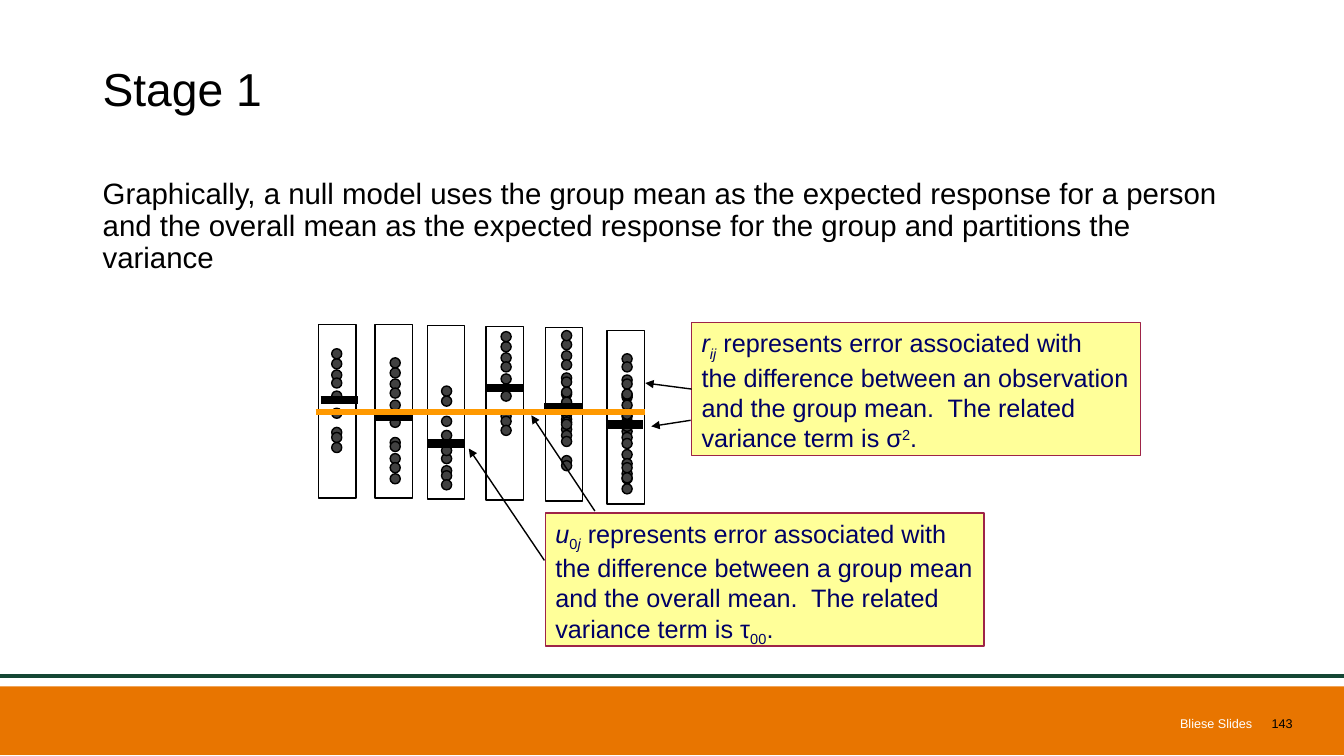
import dataclasses

import pptx
import pptx.dml.color
import pptx.enum.shapes
import pptx.enum.text
import pptx.oxml
import pptx.oxml.ns
import pptx.util

Inches = pptx.util.Inches
Pt = pptx.util.Pt
Shapes = pptx.enum.shapes.MSO_SHAPE
Anchor = pptx.enum.text.MSO_ANCHOR
Align = pptx.enum.text.PP_ALIGN


@dataclasses.dataclass(frozen=True)
class Theme:
    """Hold the colours, font and type sizes of the slide."""
    font: str = "Arial"
    black: str = "000000"
    white: str = "FFFFFF"
    orange: str = "E87500"
    green: str = "154734"
    dot: str = "414141"
    overall_mean: str = "FF9900"
    callout: str = "FFFF99"
    callout_edge: str = "9E2447"
    callout_text: str = "000066"
    title_size: float = 33
    body_size: float = 21
    callout_size: float = 18
    footer_size: float = 9


@dataclasses.dataclass(frozen=True)
class Group:
    """Describe one group of observations and its mean."""
    left: float
    top: float
    dot_left: float
    bar_left: float
    mean: float
    dots: tuple


THEME = Theme()
GROUP_WIDTH, GROUP_HEIGHT, DOT_SIZE = 0.37, 1.72, 0.1
GROUPS = (
    Group(3.16, 3.22, 3.29, 3.18, 3.97,
          (3.88, 4.05, 4.24, 3.67, 3.75, 3.56, 4.29, 4.39, 3.46)),
    Group(3.72, 3.22, 3.87, 3.73, 4.14,
          (3.97, 4.14, 4.34, 3.76, 3.85, 3.65, 4.38, 3.55, 4.5, 4.59, 4.7)),
    Group(4.24, 3.23, 4.38, 4.24, 4.4,
          (4.5, 4.42, 4.62, 4.27, 4.13, 3.93, 4.67, 4.76, 3.83)),
    Group(4.82, 3.24, 4.97, 4.82, 3.85,
          (3.71, 3.88, 4.08, 3.5, 3.59, 3.39, 4.13, 4.22, 3.29)),
    Group(5.41, 3.25, 5.57, 5.4, 4.04,
          (3.7, 3.86, 4.06, 3.48, 3.57, 3.37, 4.11, 4.21, 3.28, 4.27,
           4.05, 4.14, 4.16, 4.33, 4.52, 3.94, 4.03, 3.84, 4.57, 3.74)),
    Group(6.02, 3.28, 6.17, 6.01, 4.21,
          (3.72, 3.89, 3.51, 3.59, 4.13, 4.23, 4.29, 4.46, 4.65, 4.08, 4.16,
           4.7, 4.8, 3.87, 4.18, 4.35, 4.55, 3.97, 4.06, 3.86, 4.59, 4.69, 3.76)),
)
OBSERVATION_ERROR = (
    (("r", True, 0), ("ij", True, -25), (" represents error associated with", False, 0)),
    (("the difference between an observation", False, 0),),
    (("and the group mean.  The related", False, 0),),
    (("variance term is σ", False, 0), ("2", False, 30), (".", False, 0)),
)
GROUP_ERROR = (
    (("u", True, 0), ("0", False, -25), ("j", True, -25),
     (" represents error associated with", False, 0)),
    (("the difference between a group mean", False, 0),),
    (("and the overall mean.  The related", False, 0),),
    (("variance term is τ", False, 0), ("00", False, -25), (".", False, 0)),
)


def color(value):
    """Turn a hexadecimal string into a colour."""
    return pptx.dml.color.RGBColor.from_string(value)


def style_font(font, size, value):
    """Set the typeface, size and colour of a font."""
    font.name = THEME.font
    font.size = Pt(size)
    font.color.rgb = color(value)


def add_block(page, kind, left, top, width, height, fill, edge=None):
    """Add a flat filled shape, with a thin outline if an edge is given."""
    shape = page.shapes.add_shape(
        kind, Inches(left), Inches(top), Inches(width), Inches(height))
    shape.shadow.inherit = False
    shape.fill.solid()
    shape.fill.fore_color.rgb = color(fill)
    if edge:
        shape.line.color.rgb = color(edge)
        shape.line.width = Pt(1)
    else:
        shape.line.fill.background()
    return shape


def add_line(page, start, end, value, width, arrow=False):
    """Add a straight line, with an arrowhead at its end on request."""
    line = page.shapes.add_connector(
        pptx.enum.shapes.MSO_CONNECTOR.STRAIGHT, *map(Inches, start + end))
    line.line.color.rgb = color(value)
    line.line.width = Pt(width)
    if arrow:
        head = pptx.oxml.parse_xml(
            f'<a:tailEnd {pptx.oxml.ns.nsdecls("a")} type="triangle"/>')
        line.line._get_or_add_ln().append(head)
    line._element.spPr.append(
        pptx.oxml.parse_xml(f'<a:effectLst {pptx.oxml.ns.nsdecls("a")}/>'))
    return line


def add_text(page, text, left, top, width, height, size, value,
             anchor=Anchor.MIDDLE, align=Align.LEFT, spacing=None, right_inset=0.1):
    """Add a wrapping text box with one paragraph."""
    box = page.shapes.add_textbox(
        Inches(left), Inches(top), Inches(width), Inches(height))
    frame = box.text_frame
    frame.word_wrap = True
    frame.vertical_anchor = anchor
    frame.margin_right = Inches(right_inset)
    para = frame.paragraphs[0]
    para.text = text
    para.alignment = align
    para.line_spacing = spacing
    style_font(para.font, size, value)


def add_group(page, group):
    """Add a group frame with its observations and mean bar."""
    add_block(page, Shapes.RECTANGLE, group.left, group.top,
              GROUP_WIDTH, GROUP_HEIGHT, THEME.white, THEME.black)
    for top in group.dots:
        add_block(page, Shapes.OVAL, group.dot_left, top,
                  DOT_SIZE, DOT_SIZE, THEME.dot, THEME.black)
    add_line(page, (group.bar_left, group.mean),
             (group.bar_left + GROUP_WIDTH, group.mean), THEME.black, 6)


def add_callout(page, lines, left, top, width, height):
    """Add a yellow note with italic, subscript and superscript spans."""
    box = add_block(page, Shapes.RECTANGLE, left, top, width, height,
                    THEME.callout, THEME.callout_edge)
    frame = box.text_frame
    frame.word_wrap = False
    frame.auto_size = pptx.enum.text.MSO_AUTO_SIZE.SHAPE_TO_FIT_TEXT
    frame.vertical_anchor = Anchor.TOP
    for index, line in enumerate(lines):
        para = frame.add_paragraph() if index else frame.paragraphs[0]
        para.alignment = Align.LEFT
        style_font(para.font, THEME.callout_size, THEME.callout_text)
        for text, italic, baseline in line:
            span = para.add_run()
            span.text = text
            span.font.italic = italic
            if baseline:
                span._r.get_or_add_rPr().set("baseline", str(baseline * 1000))
    return box


def main():
    """Build the slide and save it."""
    deck = pptx.Presentation()
    deck.slide_width, deck.slide_height = Inches(13.33), Inches(7.5)
    page = deck.slides.add_slide(deck.slide_layouts[6])

    add_block(page, Shapes.RECTANGLE, 0, 6.81, 13.33, 0.68, THEME.orange)
    add_line(page, (0, 6.71), (13.33, 6.71), THEME.green, 3)
    add_text(page, "Stage 1", 0.92, 0.27, 11.5, 1.27,
             THEME.title_size, THEME.black, spacing=0.9)
    add_text(page, "Graphically, a null model uses the group mean as the expected "
             "response for a person and the overall mean as the expected response "
             "for the group and partitions the variance", 0.92, 1.73, 11.5, 4.77,
             THEME.body_size, THEME.black, anchor=Anchor.TOP, spacing=0.9)
    add_text(page, "Bliese Slides", 4.42, 7.07, 8, 0.21, THEME.footer_size,
             THEME.white, align=Align.RIGHT, right_inset=0)
    add_text(page, "143", 12.42, 7.07, 0.5, 0.21, THEME.footer_size,
             THEME.black, align=Align.RIGHT)

    for group in GROUPS:
        add_group(page, group)
    observation_note = add_callout(page, OBSERVATION_ERROR, 6.86, 3.2, 4.45, 1.32)
    add_callout(page, GROUP_ERROR, 5.41, 5.09, 4.35, 1.32)
    add_line(page, (3.13, 4.09), (6.4, 4.09), THEME.overall_mean, 4.5)

    observation_arrow = add_line(page, (6.86, 3.86), (6.4, 3.8), THEME.black, 1, arrow=True)
    observation_arrow.begin_connect(observation_note, 1)
    for start, end in (((6.85, 4.17), (6.46, 4.23)),
                       ((5.4, 5.56), (4.65, 4.45)),
                       ((5.9, 5.07), (5.27, 4.12))):
        add_line(page, start, end, THEME.black, 1, arrow=True)
    deck.save("out.pptx")


if __name__ == "__main__":
    main()
